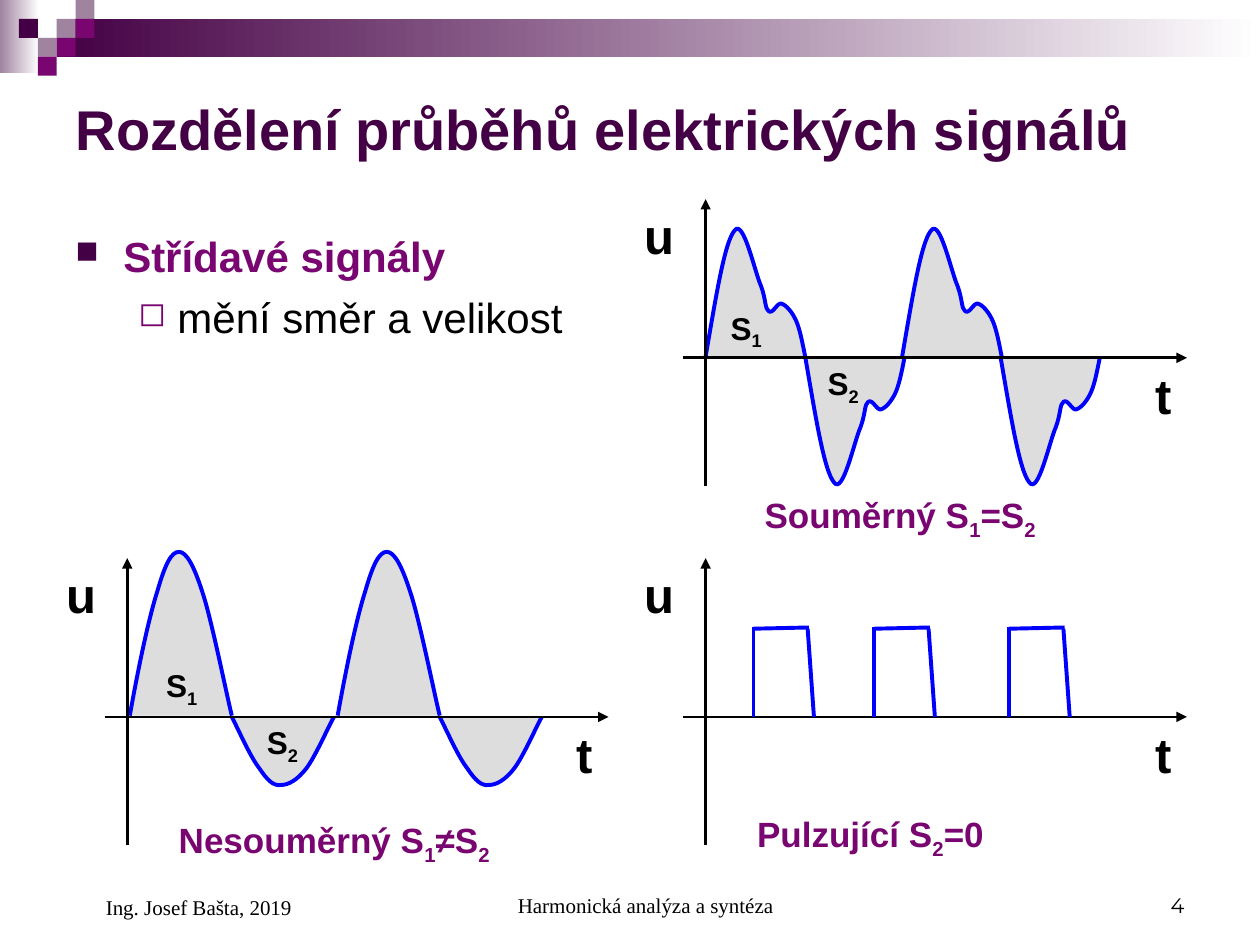
"""Build a slide on alternating electrical signals with three waveform plots."""
from dataclasses import dataclass

from lxml.etree import SubElement
from pptx import Presentation
from pptx.dml.color import RGBColor
from pptx.enum.shapes import MSO_CONNECTOR as Connector, MSO_SHAPE as Shape
from pptx.enum.text import MSO_ANCHOR as Anchor, MSO_AUTO_SIZE as AutoSize, PP_ALIGN as Align
from pptx.oxml.ns import qn
from pptx.util import Inches, Pt

DARK = RGBColor(0x44, 0x00, 0x44)
PURPLE = RGBColor(0x79, 0x05, 0x71)
MAUVE = RGBColor(0x9F, 0x83, 0x9F)
BLUE = RGBColor(0x00, 0x00, 0xFF)
GREY = RGBColor(0xDD, 0xDD, 0xDD)
BLACK = RGBColor(0x00, 0x00, 0x00)
WHITE = RGBColor(0xFF, 0xFF, 0xFF)

CELL = 0.15

Points = list[tuple[float, float]]

RIPPLED: Points = [
    (0, 0), (0.08, 0.46), (0.15, 0.91), (0.23, 1), (0.3, 1.1), (0.39, 0.67), (0.44, 0.56),
    (0.48, 0.45), (0.47, 0.38), (0.5, 0.36), (0.53, 0.33), (0.57, 0.43), (0.6, 0.42),
    (0.64, 0.41), (0.69, 0.35), (0.72, 0.28), (0.75, 0.21), (0.77, 0.1), (0.79, 0),
]
TALL: Points = [
    (0, 0), (0.07, 0.39), (0.15, 0.77), (0.22, 0.99), (0.28, 1.2), (0.33, 1.3), (0.39, 1.3),
    (0.45, 1.3), (0.51, 1.19), (0.58, 0.97), (0.65, 0.76), (0.77, 0.16), (0.81, 0),
]
SHALLOW: Points = [
    (0, 0), (0.08, 0.16), (0.15, 0.32), (0.22, 0.41), (0.28, 0.5), (0.33, 0.55), (0.39, 0.54),
    (0.45, 0.54), (0.52, 0.5), (0.59, 0.41), (0.66, 0.32), (0.77, 0.07), (0.81, 0),
]


@dataclass(frozen=True)
class Wave:
    left: float
    base: float
    points: Points
    sign: int


@dataclass(frozen=True)
class Label:
    text: str
    left: float
    top: float
    width: float = 0.5
    height: float = 0.44
    size: int = 18
    color: RGBColor = BLACK


@dataclass(frozen=True)
class Bullet:
    text: str
    char: str
    bullet_color: RGBColor
    percent: int
    margin: float
    hang: float
    color: RGBColor
    bold: bool


@dataclass(frozen=True)
class Footer:
    text: str
    left: float
    width: float
    height: float
    align: Align
    font: str = "Times New Roman"
    inset: float = 0.34


def add_block(page, left: float, top: float, width: float, height: float, color: RGBColor, fade=False) -> None:
    block = page.shapes.add_shape(Shape.RECTANGLE, Inches(left), Inches(top), Inches(width), Inches(height))
    block.shadow.inherit = False
    block.line.fill.background()
    if fade:
        block.fill.gradient()
        block.fill.gradient_angle = 180
        for stop, shade in zip(block.fill.gradient_stops, (WHITE, color)):
            stop.color.rgb = shade
    else:
        block.fill.solid()
        block.fill.fore_color.rgb = color


def style(font, size: int, color: RGBColor, bold=False, name="Arial") -> None:
    font.name, font.size, font.bold = name, Pt(size), bold
    font.color.rgb = color


def add_box(page, left: float, top: float, width: float, height: float):
    box = page.shapes.add_textbox(Inches(left), Inches(top), Inches(width), Inches(height))
    box.text_frame.word_wrap = True
    return box.text_frame


def add_label(page, label: Label) -> None:
    """Write a bold label in which an underscore lowers the next character."""
    para = add_box(page, label.left, label.top, label.width, label.height).paragraphs[0]
    first, *rest = label.text.split("_")
    pieces = [(first, False)]
    for piece in rest:
        pieces += [(piece[0], True), (piece[1:], False)]
    for text, lowered in pieces:
        if text:
            span = para.add_run()
            span.text = text
            style(span.font, label.size, label.color, bold=True)
            if lowered:
                span._r.get_or_add_rPr().set("baseline", "-25000")


def add_bullets(page, bullets: list[Bullet]) -> None:
    frame = add_box(page, 0.5, 1.78, 4.32, 1.17)
    for index, bullet in enumerate(bullets):
        para = frame.add_paragraph() if index else frame.paragraphs[0]
        if index:
            para.space_before = Pt(6)
        para.level = index
        props = para._p.get_or_add_pPr()
        props.set("marL", str(Inches(bullet.margin)))
        props.set("indent", str(-Inches(bullet.hang)))
        SubElement(SubElement(props, qn("a:buClr")), qn("a:srgbClr"), val=str(bullet.bullet_color))
        SubElement(props, qn("a:buSzPct"), val=str(bullet.percent * 1000))
        SubElement(props, qn("a:buChar"), char=bullet.char)
        span = para.add_run()
        span.text = bullet.text
        style(span.font, 24, bullet.color, bullet.bold)


def add_line(page, start: tuple, end: tuple, color: RGBColor, width: float, arrow=False) -> None:
    line = page.shapes.add_connector(Connector.STRAIGHT, *map(Inches, (*start, *end)))
    line.line.color.rgb = color
    line.line.width = Pt(width)
    if arrow:
        SubElement(line.line._get_or_add_ln(), qn("a:tailEnd"), type="triangle")
    SubElement(line._element.spPr, qn("a:effectLst"))


def add_wave(page, wave: Wave) -> None:
    """Draw a filled half-wave, taking each three points after the first as a Bézier segment."""
    start, *others = [(Inches(wave.left + x), Inches(wave.base - wave.sign * y)) for x, y in wave.points]
    builder = page.shapes.build_freeform(*start, scale=1.0)
    builder.add_line_segments(others, close=False)
    curve = builder.convert_to_shape()
    curve.shadow.inherit = False
    curve.fill.solid()
    curve.fill.fore_color.rgb = GREY
    curve.line.color.rgb = BLUE
    curve.line.width = Pt(2.25)
    outline = next(curve._element.iter(qn("a:path")))
    steps = outline.findall(qn("a:lnTo"))
    for index in range(0, len(steps), 3):
        segment = SubElement(outline, qn("a:cubicBezTo"))
        for step in steps[index:index + 3]:
            segment.append(step[0])
            outline.remove(step)


def add_axes(page, left: float, base: float) -> None:
    add_line(page, (left, base), (left + 4, base), BLACK, 1.5, arrow=True)
    add_line(page, (left + 0.18, base + 1.02), (left + 0.18, base - 1.26), BLACK, 1.5, arrow=True)
    add_label(page, Label("u", left - 0.4, base - 1.26, 0.67, 0.57, 28))
    add_label(page, Label("t", left + 3.65, base + 0.01, 0.45, 0.57, 28))


def add_pulse(page, left: float, base: float) -> None:
    top = base - 0.71
    add_line(page, (left, base), (left, top), BLUE, 2.25)
    add_line(page, (left + 0.48, base), (left + 0.43, top + 0.01), BLUE, 2.25)
    add_line(page, (left + 0.44, top), (left, top + 0.01), BLUE, 2.25)


def add_footer(page, footer: Footer) -> None:
    frame = add_box(page, footer.left, 6.83, footer.width, footer.height)
    frame.vertical_anchor = Anchor.BOTTOM
    frame.margin_left = Inches(footer.inset)
    para = frame.paragraphs[0]
    para.alignment = footer.align
    span = para.add_run()
    span.text = footer.text
    style(span.font, 12, BLACK, name=footer.font)


def main() -> None:
    deck = Presentation()
    deck.slide_width, deck.slide_height = Inches(10), Inches(7.5)
    page = deck.slides.add_slide(deck.slide_layouts[5])

    add_block(page, 0, 0, 0.31, 0.58, MAUVE, fade=True)
    add_block(page, 0.45, 0.15, 9.55, 0.3, DARK, fade=True)
    for column, row, color in [(3, 1, MAUVE), (4, 0, MAUVE), (4, 1, PURPLE), (2, 2, MAUVE),
                               (1, 1, DARK), (3, 2, PURPLE), (2, 3, PURPLE)]:
        add_block(page, column * CELL, row * CELL, CELL, CELL, color)

    title = page.shapes.title
    title.left, title.top, title.width, title.height = map(Inches, (0.5, 0.5, 9, 1.03))
    title.text_frame.text = "Rozdělení průběhů elektrických signálů"
    title.text_frame.auto_size = AutoSize.NONE
    title.text_frame.vertical_anchor = Anchor.MIDDLE
    heading = title.text_frame.paragraphs[0]
    heading.alignment = Align.LEFT
    style(heading.runs[0].font, 32, DARK, bold=True)

    add_bullets(page, [
        Bullet("Střídavé signály", "■", DARK, 75, 0.38, 0.38, PURPLE, True),
        Bullet("mění směr a velikost", "◻", PURPLE, 80, 0.81, 0.31, BLACK, False),
    ])

    add_axes(page, 5.42, 5.69)
    for left in (5.98, 6.94, 8.01):
        add_pulse(page, left, 5.69)

    for index, left in enumerate((5.6, 6.39, 7.16, 7.94)):
        add_wave(page, Wave(left, 2.83, RIPPLED, -1 if index % 2 else 1))
    add_axes(page, 5.42, 2.84)

    for left in (1.03, 2.68):
        add_wave(page, Wave(left, 5.68, TALL, 1))
        add_wave(page, Wave(left + 0.81, 5.69, SHALLOW, -1))
    add_axes(page, 0.83, 5.69)

    for label in [
        Label("S_1", 5.7, 2.4), Label("S_2", 6.47, 2.84),
        Label("S_1", 1.22, 5.24), Label("S_2", 2.02, 5.69),
        Label("Souměrný S_1=S_2", 5.97, 3.87, 3.21, 0.48, 20, PURPLE),
        Label("Nesouměrný S_1≠S_2", 1.32, 6.45, 3.21, 0.48, 20, PURPLE),
        Label("Pulzující S_2=0", 5.91, 6.4, 3.21, 0.48, 20, PURPLE),
    ]:
        add_label(page, label)

    for footer in [
        Footer("Ing. Josef Bašta, 2019", 0.5, 2.33, 0.52, Align.LEFT),
        Footer("Harmonická analýza a syntéza", 3.42, 3.17, 0.5, Align.CENTER),
        Footer("4", 7.17, 2.33, 0.5, Align.RIGHT, "Montserrat", 0.1),
    ]:
        add_footer(page, footer)

    deck.save("out.pptx")


if __name__ == "__main__":
    main()
